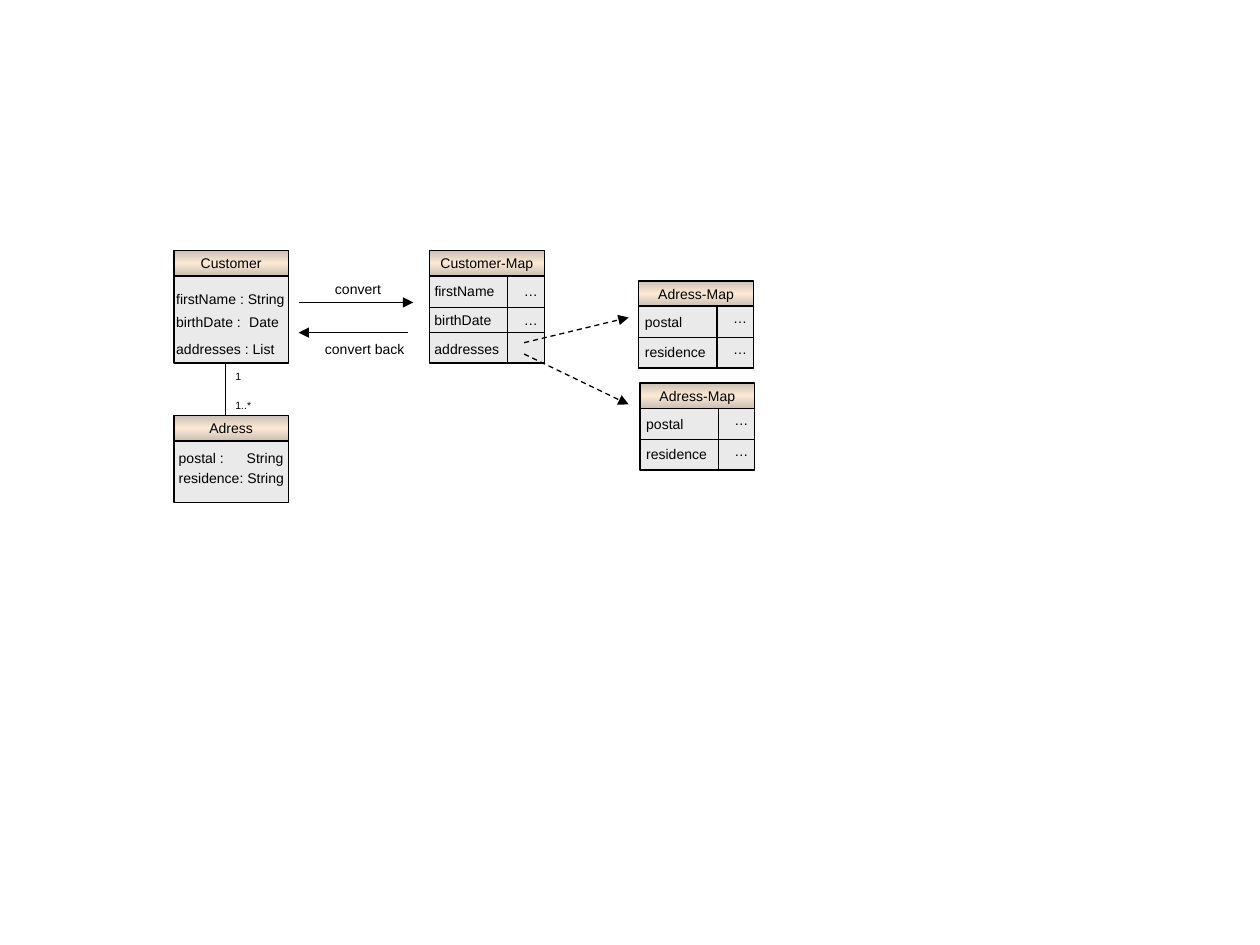
from lxml import etree
from pptx import Presentation
from pptx.dml.color import RGBColor
from pptx.enum.dml import MSO_LINE_DASH_STYLE as Dash
from pptx.enum.shapes import MSO_CONNECTOR as Connector, MSO_SHAPE as Shape
from pptx.enum.text import MSO_ANCHOR as Anchor, MSO_AUTO_SIZE as AutoSize, PP_ALIGN as Align
from pptx.oxml import parse_xml
from pptx.oxml.ns import nsdecls, qn
from pptx.util import Inches, Pt

COLORS = {"ink": "000000", "body": "EAEAEA", "edge": "755E46", "middle": "FFCC99"}
FONT = "Arial"
CELL = Inches(1)  # the slide is a grid of 10 columns by 7.5 rows
COLUMNS, ROWS = 10, 7.5
BOX_WIDTH, HEADER_HEIGHT, DIVIDER = 0.91, 0.2, 0.62
TEXT_HEIGHT, SMALL_TEXT_HEIGHT = 0.24, 0.2


def grid(*cells):
    return [round(cell * CELL) for cell in cells]


def color(name):
    return RGBColor.from_string(COLORS[name])


def style_line(line):
    line.color.rgb = color("ink")
    line.width = Pt(0.75)


def style_text(paragraph, size):
    paragraph.font.name = FONT
    paragraph.font.size = Pt(size)
    paragraph.font.color.rgb = color("ink")


def add_text(slide, text, left, top, width, size=8, tab=None):
    """Add a one-line label; tab is the stop used by a tab character in the text."""
    height = TEXT_HEIGHT if size == 8 else SMALL_TEXT_HEIGHT
    shape = slide.shapes.add_textbox(*grid(left, top, width, height))
    frame = shape.text_frame
    frame.word_wrap = False
    frame.auto_size = AutoSize.SHAPE_TO_FIT_TEXT
    paragraph = frame.paragraphs[0]
    paragraph.text = text
    if tab:
        stops = etree.SubElement(paragraph._p.get_or_add_pPr(), qn("a:tabLst"))
        etree.SubElement(stops, qn("a:tab"), pos=str(grid(tab)[0]), algn="l")
    style_text(paragraph, size)


def add_line(slide, start, end, arrow=False, dashed=False):
    line = slide.shapes.add_connector(Connector.STRAIGHT, *grid(*start, *end))
    style_line(line.line)
    if dashed:
        line.line.dash_style = Dash.DASH
    if arrow:
        etree.SubElement(line.line._get_or_add_ln(), qn("a:tailEnd"), type="triangle")
    etree.SubElement(line._element.spPr, qn("a:effectLst"))


def add_box(slide, left, top, height):
    box = slide.shapes.add_shape(Shape.RECTANGLE, *grid(left, top, BOX_WIDTH, height))
    box.shadow.inherit = False
    box.fill.solid()
    box.fill.fore_color.rgb = color("body")
    style_line(box.line)
    return box


def fill_with_gradient(box):
    """Replace the solid fill by a three-stop translucent vertical gradient."""
    stops = "".join(
        f'<a:gs pos="{position}"><a:srgbClr val="{COLORS[name]}">'
        '<a:alpha val="40000"/></a:srgbClr></a:gs>'
        for position, name in ((0, "edge"), (50000, "middle"), (100000, "edge")))
    gradient = parse_xml(f'<a:gradFill {nsdecls("a")} rotWithShape="1"><a:gsLst>{stops}</a:gsLst>'
                         '<a:lin ang="5400000" scaled="0"/></a:gradFill>')
    properties = box._element.spPr
    properties.replace(properties.find(qn("a:solidFill")), gradient)


def add_titled_box(slide, title, left, top, body_height):
    """Add a header with a body below it, and return the top of the body."""
    header = add_box(slide, left, top, HEADER_HEIGHT)
    fill_with_gradient(header)
    frame = header.text_frame
    frame.word_wrap = False
    frame.vertical_anchor = Anchor.MIDDLE
    paragraph = frame.paragraphs[0]
    paragraph.text = title
    paragraph.alignment = Align.CENTER
    style_text(paragraph, 8)
    body_top = top + HEADER_HEIGHT
    add_box(slide, left, body_top, body_height)
    return body_top


def add_class(slide, title, left, top, body_height, indent, tab, fields):
    body_top = add_titled_box(slide, title, left, top, body_height)
    for text, offset, width in fields:
        add_text(slide, text, left + indent, body_top + offset, width, tab=tab)


def add_map(slide, title, left, top, body_height, indent, rules, keys, value_offsets):
    """Add a two-column map; rules, keys and values are placed from the body's top."""
    body_top = add_titled_box(slide, title, left, top, body_height)
    right, divider = left + BOX_WIDTH, left + DIVIDER
    for text, offset, width in keys:
        add_text(slide, text, left + indent, body_top + offset, width)
    add_line(slide, (divider, body_top), (divider, body_top + body_height))
    for rule in rules:
        add_line(slide, (left, body_top + rule), (right, body_top + rule))
    for offset in value_offsets:
        add_text(slide, "…", left + 0.65, body_top + offset, 0.33)


def main():
    presentation = Presentation()
    presentation.slide_width, presentation.slide_height = grid(COLUMNS, ROWS)
    slide = presentation.slides.add_slide(presentation.slide_layouts[6])

    add_class(slide, "Customer", 1.38, 1.99, 0.69, -0.08, 0.58, [
        ("firstName : String", 0.07, 1.1),
        ("birthDate :\tDate", 0.25, 1.1),
        ("addresses : List", 0.46, 1.02)])
    add_class(slide, "Adress", 1.38, 3.3, 0.49, -0.06, 0.54, [
        ("postal :\tString", 0.02, 1.1),
        ("residence: String", 0.18, 1.1)])
    add_line(slide, (1.79, 2.89), (1.79, 3.29))
    add_text(slide, "1", 1.77, 2.89, 0.28, size=6)
    add_text(slide, "1..*", 1.77, 3.12, 0.36, size=6)

    add_map(slide, "Customer-Map", 3.41, 1.99, 0.69, -0.06, [0.25, 0.45], [
        ("firstName", 0, 0.72),
        ("birthDate", 0.23, 0.7),
        ("addresses", 0.46, 0.76)], [0, 0.23])
    for left, top in ((5.07, 2.23), (5.08, 3.04)):
        add_map(slide, "Adress-Map", left, top, 0.49, -0.05, [0.25], [
            ("postal", 0.01, 0.55),
            ("residence", 0.25, 0.73)], [-0.02, 0.22])

    add_line(slide, (2.37, 2.4), (3.28, 2.4), arrow=True)
    add_line(slide, (3.24, 2.64), (2.37, 2.64), arrow=True)
    add_text(slide, "convert", 2.56, 2.18, 0.61)
    add_text(slide, "convert back", 2.48, 2.65, 0.88)
    add_line(slide, (4.16, 2.72), (4.99, 2.52), arrow=True, dashed=True)
    add_line(slide, (4.16, 2.81), (4.99, 3.21), arrow=True, dashed=True)

    presentation.save("out.pptx")


if __name__ == "__main__":
    main()
